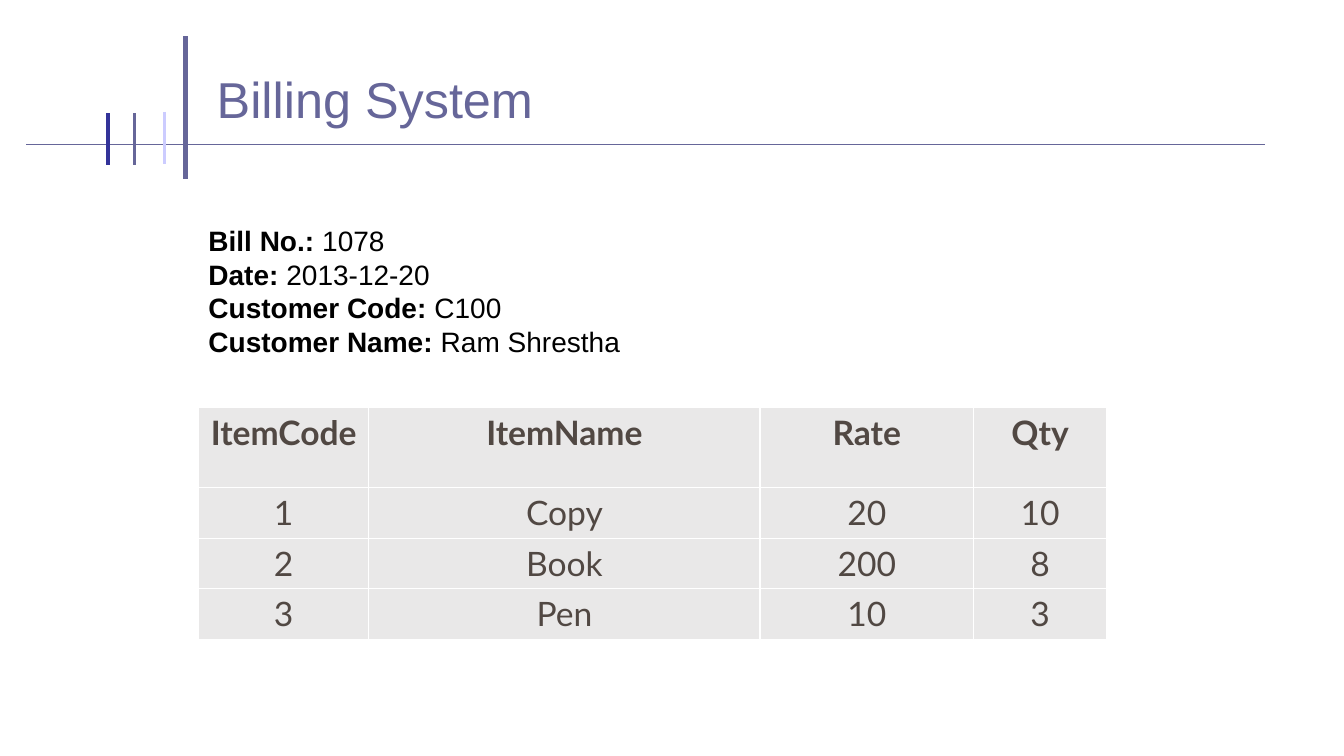
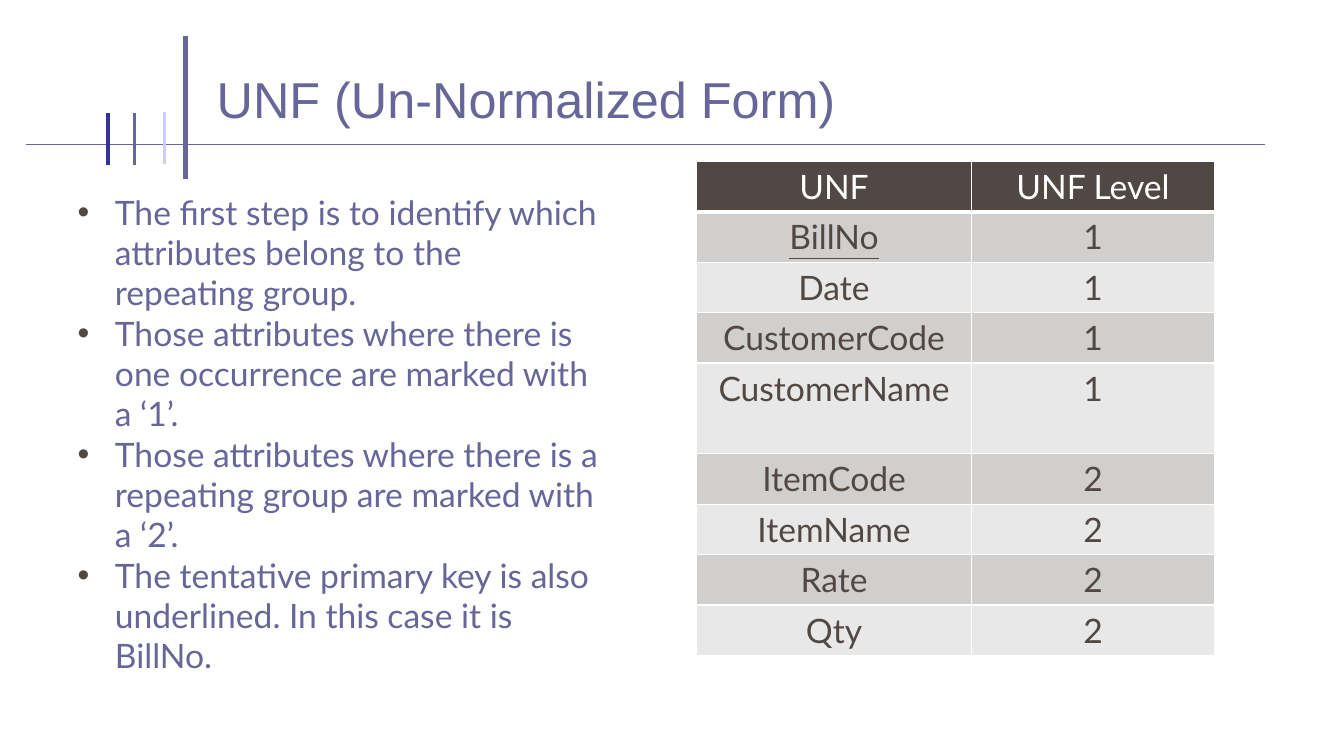
from dataclasses import dataclass

from lxml.etree import SubElement
from pptx import Presentation
from pptx.dml.color import RGBColor
from pptx.enum.shapes import MSO_CONNECTOR
from pptx.enum.text import MSO_ANCHOR, MSO_AUTO_SIZE, PP_ALIGN
from pptx.oxml.ns import qn
from pptx.util import Pt


@dataclass(frozen=True)
class Theme:
    accent: str = "666699"
    deep: str = "333399"
    pale: str = "CCCCFF"
    ink: str = "514843"
    black: str = "000000"
    white: str = "FFFFFF"
    band_light: str = "E9E8E8"
    band_dark: str = "D0CFCE"
    heading_font: str = "Arial"
    body_font: str = "Lato"
    title_size: int = 36
    body_size: int = 24
    bill_size: int = 20
    grid_width: float = 0.96
    header_width: float = 3


@dataclass(frozen=True)
class Box:
    left: float
    top: float
    width: float
    height: float

    def place(self, part):
        part.left, part.top = Pt(self.left), Pt(self.top)
        part.width, part.height = Pt(self.width), Pt(self.height)


THEME = Theme()
SLIDE = Box(0, 0, 960, 540)
TITLE = Box(147.6, 20.2, 784, 100)
BILL = Box(141.8, 156.2, 480, 103)
ITEMS = Box(141.8, 290.9, 648.7, 165.6)
STEPS = Box(47.5, 133.2, 393.8, 352.8)
LEVELS = Box(497.5, 115.2, 370, 352.8)
ROW_HEIGHT = 36
TITLE_ONLY, TITLE_AND_CONTENT = 5, 1


def style_run(run, size, color, font, bold=False, underline=False):
    run.font.size = Pt(size)
    run.font.name = font
    run.font.bold = bold
    run.font.underline = underline
    run.font.color.rgb = RGBColor.from_string(color)


def add_master_rules(master, slide, box):
    mid = box.top + 103
    rules = [
        (132.5, 25.9, 132.5, 128.2, THEME.accent, 3),
        (18.7, mid, 903.6, mid, THEME.accent, 0.75),
        (117.4, mid - 23, 117.4, mid + 13.8, THEME.pale, 2.25),
        (95.8, mid - 22.2, 95.8, mid + 15, THEME.accent, 2.25),
        (77.2, mid - 22.2, 77.2, mid + 15, THEME.deep, 2.25),
    ]
    for number, (x1, y1, x2, y2, color, width) in enumerate(rules):
        rule = slide.shapes.add_connector(
            MSO_CONNECTOR.STRAIGHT,
            Pt(box.left + x1), Pt(y1), Pt(box.left + x2), Pt(y2))
        rule.line.color.rgb = RGBColor.from_string(color)
        rule.line.width = Pt(width)
        SubElement(rule.element.spPr, qn("a:effectLst"))
        rule.element.nvCxnSpPr.cNvPr.id = 20 + number
        master.shapes.element.insert(2 + number, rule.element)


def add_titled_slide(deck, layout, heading):
    slide = deck.slides.add_slide(deck.slide_layouts[layout])
    title = slide.shapes.title
    TITLE.place(title)
    frame = title.text_frame
    frame.text = heading
    frame.auto_size = MSO_AUTO_SIZE.NONE
    frame.vertical_anchor = MSO_ANCHOR.MIDDLE
    frame.paragraphs[0].alignment = PP_ALIGN.LEFT
    style_run(frame.paragraphs[0].runs[0], THEME.title_size, THEME.accent,
              THEME.heading_font)
    return slide


def add_bill_details(slide, box, details):
    bill = slide.shapes.add_textbox(
        Pt(box.left), Pt(box.top), Pt(box.width), Pt(box.height))
    frame = bill.text_frame
    frame.word_wrap = True
    for index, (label, value) in enumerate(details):
        line = frame.paragraphs[0] if index == 0 else frame.add_paragraph()
        for words, bold in ((f"{label}: ", True), (value, False)):
            run = line.add_run()
            run.text = words
            style_run(run, THEME.bill_size, THEME.black, THEME.heading_font, bold)


def fill_steps(placeholder, box, steps):
    box.place(placeholder)
    frame = placeholder.text_frame
    frame.text = "\n".join(steps)
    frame.auto_size = MSO_AUTO_SIZE.NONE
    for step in frame.paragraphs:
        step.space_before = Pt(0)
        style_run(step.runs[0], THEME.body_size, THEME.accent, THEME.body_font)
        properties = step._p.get_or_add_pPr()
        properties.set("marL", str(Pt(27.4)))
        properties.set("indent", str(Pt(-26.6)))
        bullet_color = SubElement(properties, qn("a:buClr"))
        SubElement(bullet_color, qn("a:srgbClr"), val=THEME.ink)
        SubElement(properties, qn("a:buFont"), typeface=THEME.heading_font)
        SubElement(properties, qn("a:buChar"), char="•")


def set_borders(cell, top, bottom):
    properties = cell._tc.get_or_add_tcPr()
    sides = {"L": THEME.grid_width, "R": THEME.grid_width, "T": top, "B": bottom}
    for side, width in sides.items():
        border = SubElement(properties, qn(f"a:ln{side}"), w=str(Pt(width)))
        fill = SubElement(border, qn("a:solidFill"))
        SubElement(fill, qn("a:srgbClr"), val=THEME.white)


def add_grid(slide, box, rows, widths, tall_row, header, bands,
             header_rule, key=None):
    header_fill, header_color, header_bold = header
    grid = slide.shapes.add_table(
        len(rows), len(widths), Pt(box.left), Pt(box.top),
        Pt(box.width), Pt(box.height)).table
    for column, width in zip(grid.columns, widths):
        column.width = Pt(width)
    tall_height = box.height - ROW_HEIGHT * (len(rows) - 1)
    for r, values in enumerate(rows):
        grid.rows[r].height = Pt(tall_height if r == tall_row else ROW_HEIGHT)
        is_header = r == 0
        fill = header_fill if is_header else bands[(r - 1) % len(bands)]
        for c, value in enumerate(values):
            cell = grid.cell(r, c)
            set_borders(cell,
                        header_rule if r == 1 else THEME.grid_width,
                        header_rule if is_header else THEME.grid_width)
            cell.fill.solid()
            cell.fill.fore_color.rgb = RGBColor.from_string(fill)
            cell.margin_left = cell.margin_right = Pt(5)
            cell.text_frame.text = value
            entry = cell.text_frame.paragraphs[0]
            entry.alignment = PP_ALIGN.CENTER
            style_run(entry.runs[0], THEME.body_size,
                      header_color if is_header else THEME.ink,
                      THEME.body_font, is_header and header_bold, value == key)


def build_billing(deck):
    slide = add_titled_slide(deck, TITLE_ONLY, "Billing System")
    add_bill_details(slide, BILL, [
        ("Bill No.", "1078"),
        ("Date", "2013-12-20"),
        ("Customer Code", "C100"),
        ("Customer Name", "Ram Shrestha"),
    ])
    items = [
        ("ItemCode", "ItemName", "Rate", "Qty"),
        ("1", "Copy", "20", "10"),
        ("2", "Book", "200", "8"),
        ("3", "Pen", "10", "3"),
    ]
    add_grid(slide, ITEMS, items, (121.7, 279.4, 152.6, 95), tall_row=0,
             header=(THEME.band_light, THEME.ink, True),
             bands=(THEME.band_light,), header_rule=THEME.grid_width)
    return slide


def build_unnormalized(deck):
    slide = add_titled_slide(deck, TITLE_AND_CONTENT, "UNF (Un-Normalized Form)")
    fill_steps(slide.placeholders[1], STEPS, [
        "The first step is to identify which attributes belong to the repeating group.",
        "Those attributes where there is one occurrence are marked with a ‘1’.",
        "Those attributes where there is a repeating group are marked with a ‘2’.",
        "The tentative primary key is also underlined. In this case it is BillNo.",
    ])
    single = ("BillNo", "Date", "CustomerCode", "CustomerName")
    repeating = ("ItemCode", "ItemName", "Rate", "Qty")
    levels = [("UNF", "UNF Level")]
    levels += [(name, "1") for name in single]
    levels += [(name, "2") for name in repeating]
    add_grid(slide, LEVELS, levels, (196.5, 173.5), tall_row=len(single),
             header=(THEME.ink, THEME.white, False),
             bands=(THEME.band_dark, THEME.band_light),
             header_rule=THEME.header_width, key="BillNo")


def main():
    deck = Presentation()
    deck.slide_width, deck.slide_height = Pt(SLIDE.width), Pt(SLIDE.height)
    billing = build_billing(deck)
    add_master_rules(deck.slide_master, billing, SLIDE)
    build_unnormalized(deck)
    deck.save("out.pptx")


if __name__ == "__main__":
    main()
